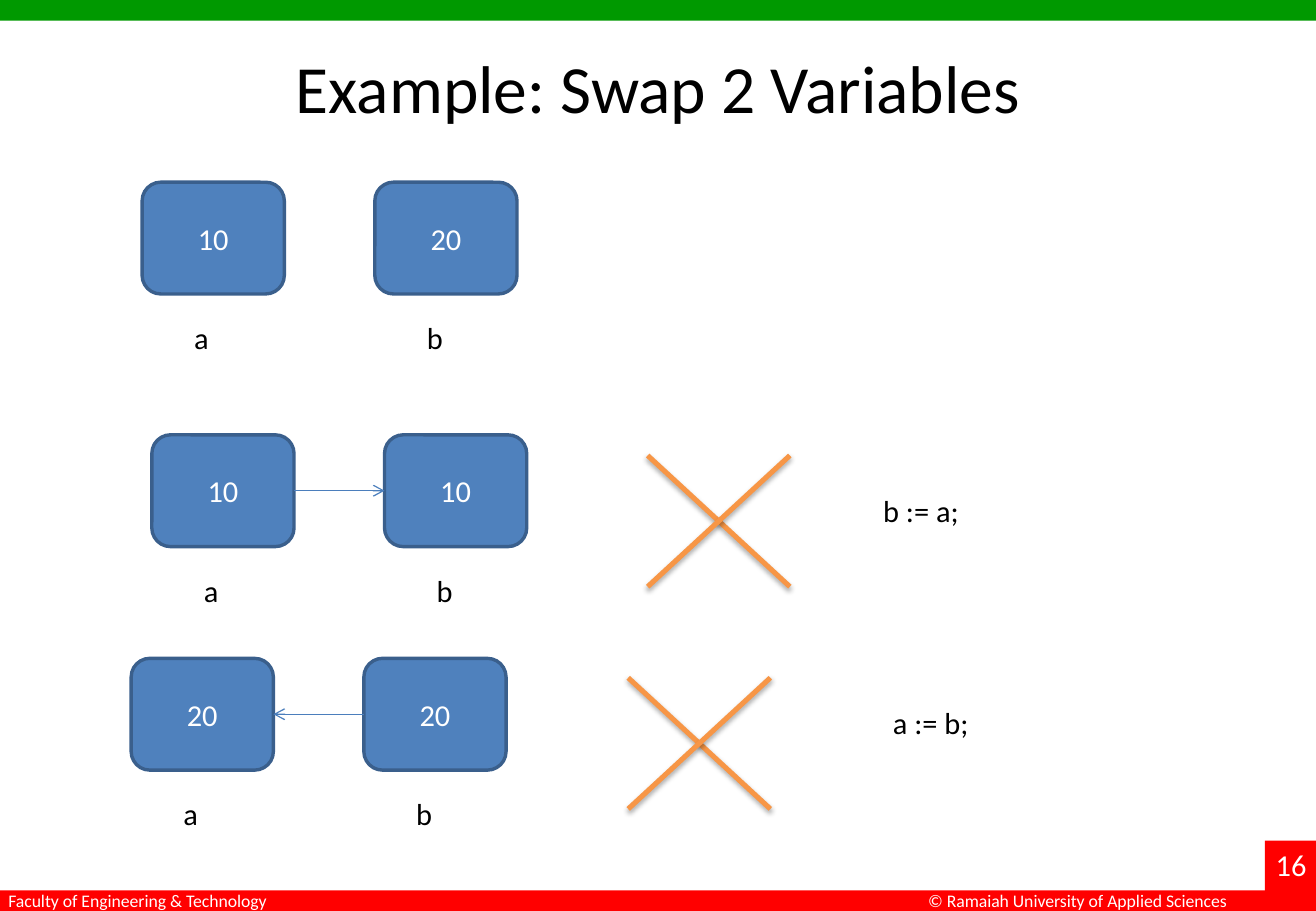
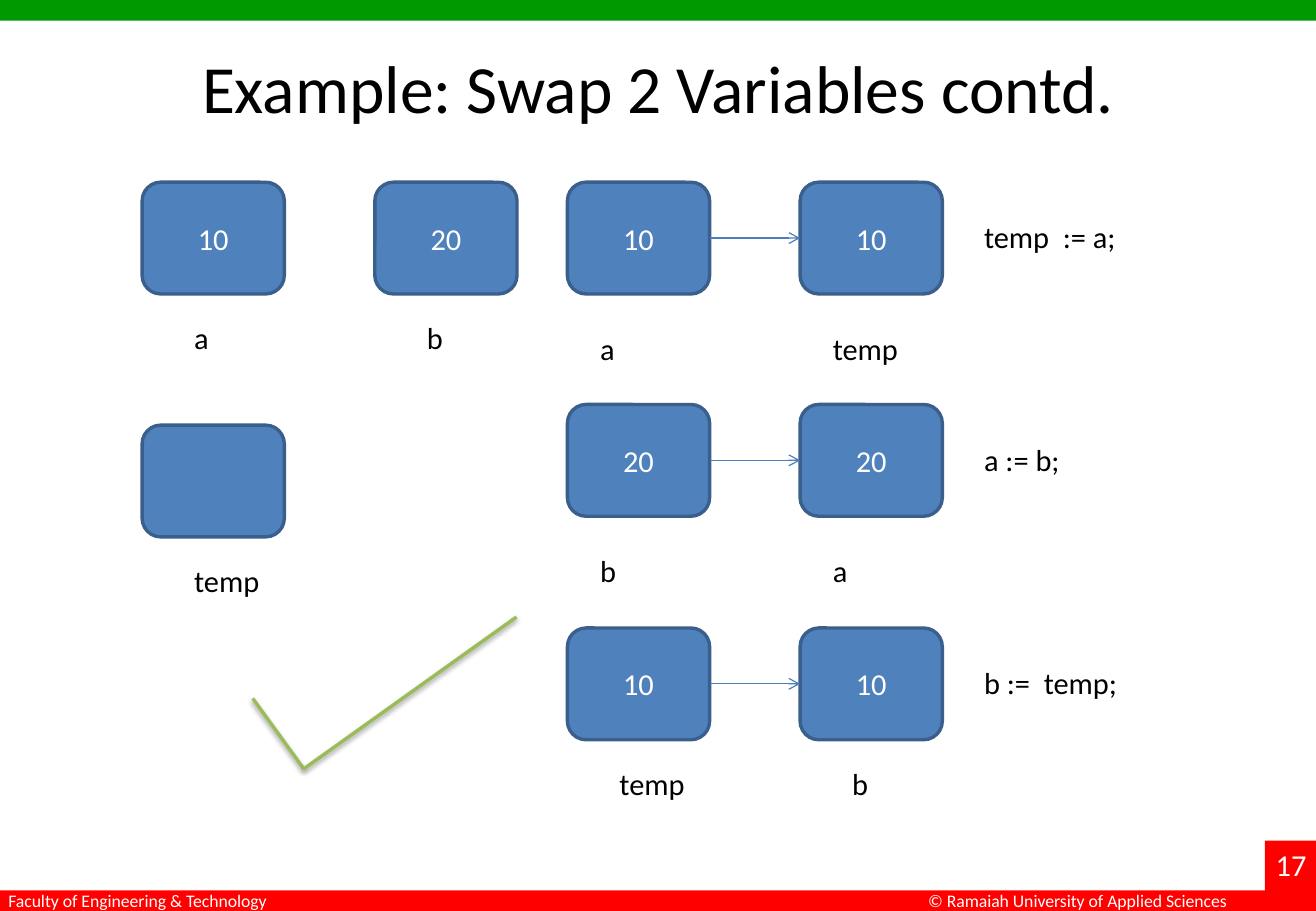
from lxml import etree
from pptx import Presentation
from pptx.dml.color import RGBColor
from pptx.enum.shapes import MSO_CONNECTOR, MSO_SHAPE
from pptx.enum.text import MSO_ANCHOR, PP_ALIGN
from pptx.oxml.ns import qn
from pptx.util import Inches, Pt

STRAIGHT = MSO_CONNECTOR.STRAIGHT
RECTANGLE, ROUNDED = MSO_SHAPE.RECTANGLE, MSO_SHAPE.ROUNDED_RECTANGLE
TOP, MIDDLE = MSO_ANCHOR.TOP, MSO_ANCHOR.MIDDLE
LEFT, CENTER = PP_ALIGN.LEFT, PP_ALIGN.CENTER
LEFT_SIDE, RIGHT_SIDE = 1, 3

BLACK = RGBColor(0x00, 0x00, 0x00)
WHITE = RGBColor(0xFF, 0xFF, 0xFF)
GREEN_BAND = RGBColor(0x00, 0x99, 0x00)
RED_BAND = RGBColor(0xFF, 0x00, 0x00)
BOX_FILL = RGBColor(0x4F, 0x81, 0xBD)
BOX_LINE = RGBColor(0x3A, 0x5F, 0x8C)
ARROW_LINE = RGBColor(0x4B, 0x7E, 0xBC)
CROSS_LINE = RGBColor(0xF7, 0x96, 0x46)
TICK_LINE = RGBColor(0x9B, 0xBB, 0x59)

FONT = "Calibri"
PAGE_WIDTH, PAGE_HEIGHT = 10.83, 7.5
BAND_HEIGHT = 0.17
BOX_WIDTH, BOX_HEIGHT, BOX_STEP = 1.17, 0.92, 1.915
CROSS_WIDTH, CROSS_HEIGHT = 1.17, 1.08
LABEL_OFFSET = (0.33, 1.08)
WIDE_OFFSET = (0.17, 1.17)
NO_ARROW, RIGHTWARD, LEFTWARD = 0, 1, -1

# Variable rows: left, top, ((value, name), ...), arrow, label offset
PAGES = [
    {
        "title": "Example: Swap 2 Variables",
        "number": 16,
        "rows": [
            (1.17, 1.5, (("10", "a"), ("20", "b")), NO_ARROW, LABEL_OFFSET),
            (1.25, 3.58, (("10", "a"), ("10", "b")), RIGHTWARD, LABEL_OFFSET),
            (1.08, 5.42, (("20", "a"), ("20", "b")), LEFTWARD, LABEL_OFFSET),
        ],
        "statements": [(7.17, 4, "b := a;"), (7.25, 5.75, "a := b;")],
        "crosses": [(5.33, 3.75), (5.17, 5.58)],
        "tick": [],
    },
    {
        "title": "Example: Swap 2 Variables contd.",
        "number": 17,
        "rows": [
            (1.17, 1.5, (("10", "a"), ("20", "b")), NO_ARROW, LABEL_OFFSET),
            (1.17, 3.5, (("", "temp"),), NO_ARROW, LABEL_OFFSET),
            (4.67, 1.5, (("10", "a"), ("10", "temp")), RIGHTWARD, WIDE_OFFSET),
            (4.67, 3.33, (("20", "b"), ("20", "a")), RIGHTWARD, WIDE_OFFSET),
            (4.67, 5.17, (("10", "temp"), ("10", "b")), RIGHTWARD, LABEL_OFFSET),
        ],
        "statements": [
            (8, 1.75, "temp  := a;"),
            (8, 3.58, "a := b;"),
            (8, 5.42, "b :=  temp;"),
        ],
        "crosses": [],
        "tick": [(2.08, 5.75), (2.5, 6.33), (4.25, 5.08)],
    },
]


def write(shape, text, size, color, align, anchor, wrap=True):
    frame = shape.text_frame
    frame.word_wrap = wrap
    frame.vertical_anchor = anchor
    frame.text = text
    para = frame.paragraphs[0]
    para.alignment = align
    for span in para.runs:
        span.font.name = FONT
        span.font.size = Pt(size)
        span.font.color.rgb = color


def add_text(page, text, left, top, width, height=0.4, size=18, color=BLACK,
             align=LEFT, wrap=True):
    box = page.shapes.add_textbox(*map(Inches, (left, top, width, height)))
    write(box, text, size, color, align, TOP, wrap)


def add_filled(page, kind, left, top, width, height, color):
    shape = page.shapes.add_shape(kind, *map(Inches, (left, top, width, height)))
    shape.shadow.inherit = False
    shape.fill.solid()
    shape.fill.fore_color.rgb = color
    shape.line.fill.background()
    return shape


def add_line(page, start, end, color, width, shadow_alpha=0):
    """Draw a straight line; shadow_alpha is the shadow's opacity in percent."""
    line = page.shapes.add_connector(STRAIGHT, *map(Inches, (*start, *end)))
    line.line.color.rgb = color
    line.line.width = Pt(width)
    effects = etree.SubElement(line._element.spPr, qn("a:effectLst"))
    if shadow_alpha:
        shadow = etree.SubElement(effects, qn("a:outerShdw"), blurRad=str(Pt(3.1)),
                                  dist=str(Pt(1.7)), dir="5400000", rotWithShape="0")
        shade = etree.SubElement(shadow, qn("a:srgbClr"), val=str(BLACK))
        etree.SubElement(shade, qn("a:alpha"), val=str(shadow_alpha * 1000))
    return line


def add_arrow(page, source, target, source_side, target_side):
    arrow = add_line(page, (0, 0), (1, 1), ARROW_LINE, 0.75)
    arrow.begin_connect(source, source_side)
    arrow.end_connect(target, target_side)
    etree.SubElement(arrow.line._get_or_add_ln(), qn("a:tailEnd"), type="arrow")


def add_row(page, left, top, variables, direction, offset):
    """Draw boxes with a name below each, and an arrow between the two."""
    boxes = []
    for index, (value, name) in enumerate(variables):
        x = left + index * BOX_STEP
        box = add_filled(page, ROUNDED, x, top, BOX_WIDTH, BOX_HEIGHT, BOX_FILL)
        box.line.color.rgb = BOX_LINE
        box.line.width = Pt(2)
        if value:
            write(box, value, 18, WHITE, CENTER, MIDDLE)
        boxes.append(box)
        add_text(page, name, x + offset[0], top + offset[1],
                 0.42 if len(name) == 1 else 0.83)
    if direction == RIGHTWARD:
        add_arrow(page, boxes[0], boxes[1], RIGHT_SIDE, LEFT_SIDE)
    elif direction == LEFTWARD:
        add_arrow(page, boxes[1], boxes[0], LEFT_SIDE, RIGHT_SIDE)


def add_cross(page, left, top):
    right, bottom = left + CROSS_WIDTH, top + CROSS_HEIGHT
    add_line(page, (left, top), (right, bottom), CROSS_LINE, 3, 35)
    add_line(page, (right, top), (left, bottom), CROSS_LINE, 3, 35)


def add_frame(page, title, number):
    """Draw the bands, footers, page number and title that all slides share."""
    add_filled(page, RECTANGLE, 0, 0, PAGE_WIDTH, BAND_HEIGHT, GREEN_BAND)
    add_filled(page, RECTANGLE, 0, PAGE_HEIGHT - BAND_HEIGHT, PAGE_WIDTH,
               BAND_HEIGHT, RED_BAND)
    add_filled(page, RECTANGLE, PAGE_WIDTH - 0.42, PAGE_HEIGHT - 0.58, 0.42, 0.58,
               RED_BAND)
    for text, left, top, width, height, size in (
        ("© Ramaiah University of Applied Sciences", 7.54, 7.28, 2.7, 0.28, 10.5),
        ("Faculty of Engineering & Technology", -0.03, 7.28, 2.38, 0.28, 10.5),
        (str(number), 10.4, 6.92, 0.5, 0.4, 18),
    ):
        add_text(page, text, left, top, width, height, size, WHITE, wrap=False)
    add_text(page, title, 0.54, 0.33, 9.75, 1.22, 40, align=CENTER)


def main():
    deck = Presentation()
    deck.slide_width, deck.slide_height = Inches(PAGE_WIDTH), Inches(PAGE_HEIGHT)
    for content in PAGES:
        page = deck.slides.add_slide(deck.slide_layouts[6])
        add_frame(page, content["title"], content["number"])
        for row in content["rows"]:
            add_row(page, *row)
        for left, top, code in content["statements"]:
            add_text(page, code, left, top, 2.67)
        for corner in content["crosses"]:
            add_cross(page, *corner)
        for start, end in zip(content["tick"], content["tick"][1:]):
            add_line(page, start, end, TICK_LINE, 2, 38)
    deck.save("out.pptx")


if __name__ == "__main__":
    main()
